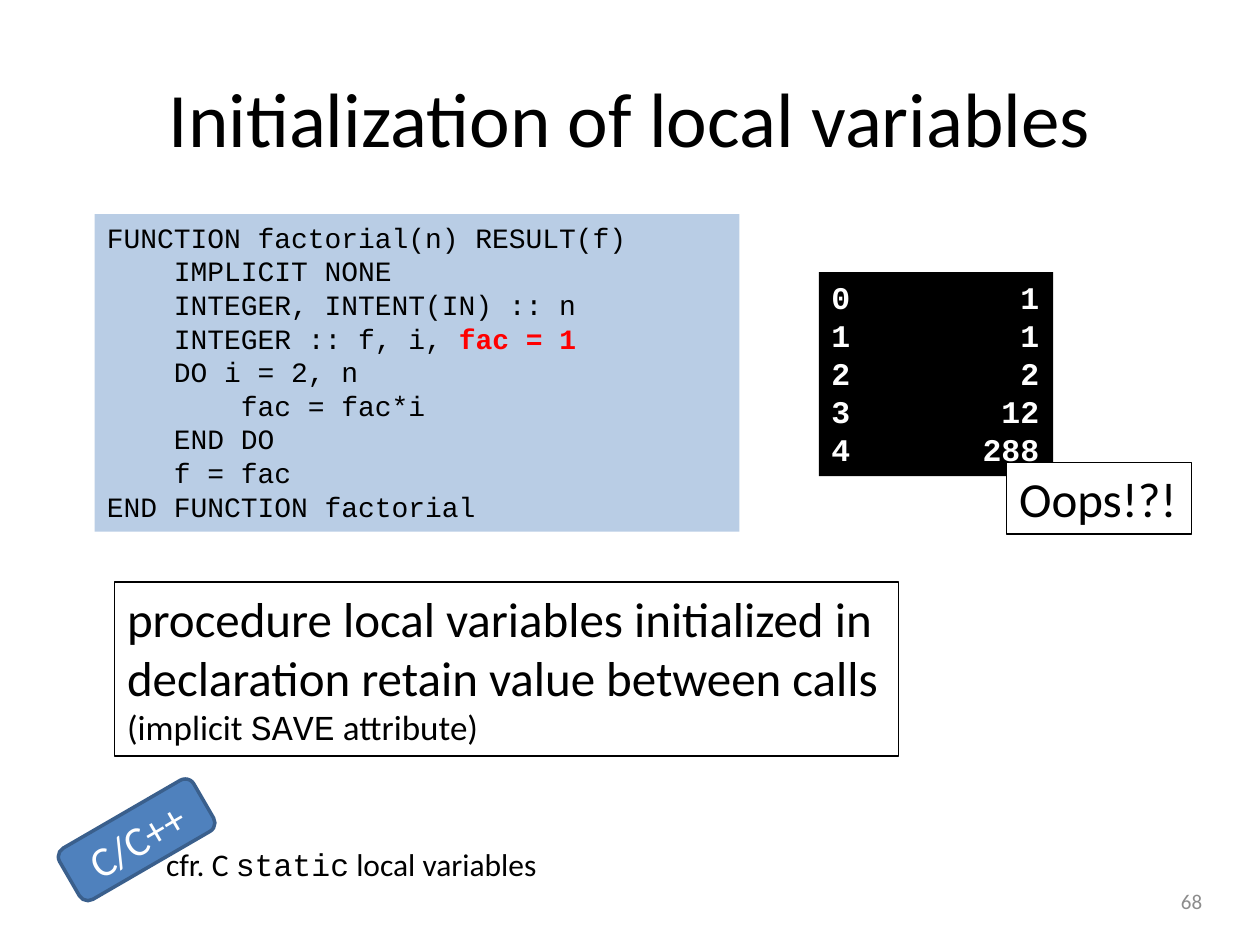
import pptx
import pptx.util
import pptx.dml.color
import pptx.enum.shapes
import pptx.enum.text

Pt = pptx.util.Pt
RGB = pptx.dml.color.RGBColor
Align = pptx.enum.text.PP_ALIGN
Anchor = pptx.enum.text.MSO_ANCHOR
Fit = pptx.enum.text.MSO_AUTO_SIZE

BLACK = RGB(0x00, 0x00, 0x00)
WHITE = RGB(0xFF, 0xFF, 0xFF)
RED = RGB(0xFF, 0x00, 0x00)
GREY = RGB(0x8C, 0x8C, 0x8C)
PALE = RGB(0xB9, 0xCD, 0xE5)
BLUE = RGB(0x4F, 0x81, 0xBD)
NAVY = RGB(0x3A, 0x5F, 0x8C)
SANS = "Calibri"
MONO = "Courier New"

CODE = """FUNCTION factorial(n) RESULT(f)
    IMPLICIT NONE
    INTEGER, INTENT(IN) :: n
    INTEGER :: f, i, |fac = 1
    DO i = 2, n
        fac = fac*i
    END DO
    f = fac
END FUNCTION factorial"""
OUTPUT = """0         1
1         1
2         2
3        12
4       288"""
RULE = """procedure local variables initialized in\vdeclaration retain value between calls
(implicit |SAVE| attribute)"""


def style(run, size, color, face=SANS, bold=False):
    run.font.size = Pt(size)
    run.font.color.rgb = color
    run.font.name = face
    run.font.bold = bold


def add_box(spot, text, size, color=BLACK, face=SANS, wrap=False, bold=False):
    """Add a text box; each line is a paragraph and | parts its runs."""
    box = slide.shapes.add_textbox(*map(Pt, spot))
    frame = box.text_frame
    frame.word_wrap = wrap
    frame.auto_size = Fit.SHAPE_TO_FIT_TEXT
    lines = text.split("\n")
    frame.text = "\n".join(line.split("|")[0] for line in lines)
    for para, line in zip(frame.paragraphs, lines):
        for part in line.split("|")[1:]:
            para.add_run().text = part
        for run in para.runs:
            style(run, size, color, face, bold)
    return box


deck = pptx.Presentation()
deck.slide_width, deck.slide_height = Pt(720), Pt(540)
slide = deck.slides.add_slide(deck.slide_layouts[5])

title = slide.shapes.title
title.left, title.top, title.width, title.height = map(Pt, (36, 21.6, 648, 90))
title.text_frame.text = "Initialization of local variables"
title.text_frame.vertical_anchor = Anchor.MIDDLE
title.text_frame.paragraphs[0].alignment = Align.CENTER
style(title.text_frame.paragraphs[0].runs[0], 44, BLACK)

number = add_box((526.3, 500.4, 167.8, 28.8), "68", 12, GREY, wrap=True)
number.text_frame.auto_size = Fit.NONE
number.text_frame.vertical_anchor = Anchor.MIDDLE
number.text_frame.paragraphs[0].alignment = Align.RIGHT

code = add_box((54, 122.4, 368.6, 181.4), CODE, 16, face=MONO, wrap=True)
code.fill.solid()
code.fill.fore_color.rgb = PALE
style(code.text_frame.paragraphs[3].runs[1], 16, RED, MONO, bold=True)

output = add_box((468, 155.5, 133.9, 116.6), OUTPUT, 18, WHITE, MONO, bold=True)
output.fill.solid()
output.fill.fore_color.rgb = BLACK

oops = add_box((575.3, 264.2, 105.8, 41), "Oops!?!", 28)
oops.fill.solid()
oops.fill.fore_color.rgb = WHITE

rule = add_box((65.5, 332.6, 447.8, 99.4), RULE, 28)
for run, face in zip(rule.text_frame.paragraphs[1].runs, (SANS, MONO, SANS)):
    style(run, 20, BLACK, face)

for box in (oops, rule):
    box.line.color.rgb = BLACK
    box.line.width = Pt(0.75)

hint = add_box((87.8, 479.5, 260.6, 28.8), "cfr. C |static| local variables", 18, wrap=True)
hint.text_frame.paragraphs[0].runs[1].font.name = MONO

badge = slide.shapes.add_shape(
    pptx.enum.shapes.MSO_SHAPE.ROUNDED_RECTANGLE, *map(Pt, (33.8, 463, 88.6, 33.8)))
badge.rotation = 329.9
badge.shadow.inherit = False
badge.fill.solid()
badge.fill.fore_color.rgb = BLUE
badge.line.color.rgb = NAVY
badge.line.width = Pt(2)
badge.text_frame.text = "C/C++"
badge.text_frame.vertical_anchor = Anchor.MIDDLE
badge.text_frame.paragraphs[0].alignment = Align.CENTER
style(badge.text_frame.paragraphs[0].runs[0], 24, WHITE)

deck.save("out.pptx")
